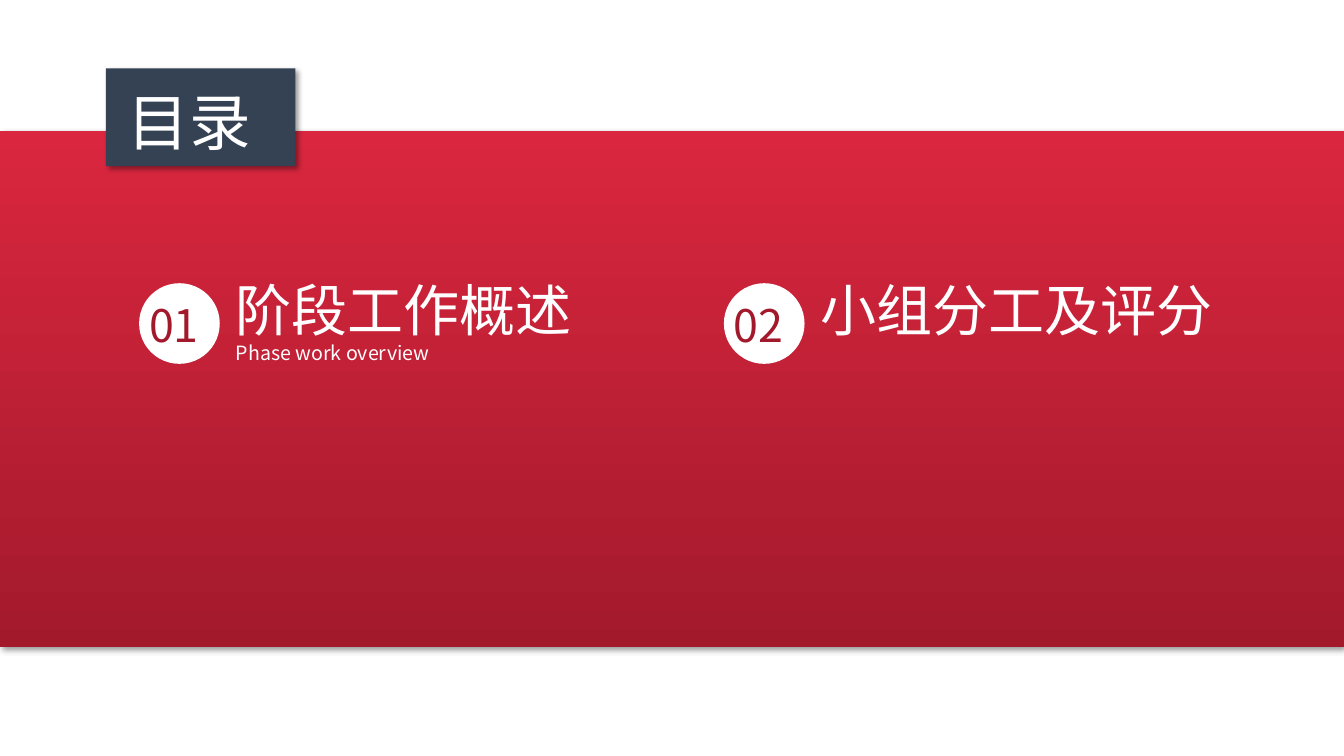
from lxml import etree
from pptx import Presentation
from pptx.dml.color import RGBColor
from pptx.enum.shapes import MSO_SHAPE
from pptx.enum.text import MSO_AUTO_SIZE, PP_ALIGN
from pptx.oxml.ns import qn
from pptx.util import Inches, Pt

RECTANGLE, OVAL = MSO_SHAPE.RECTANGLE, MSO_SHAPE.OVAL
JUSTIFY = PP_ALIGN.JUSTIFY
GROW = MSO_AUTO_SIZE.SHAPE_TO_FIT_TEXT

WHITE, NAVY = "FFFFFF", "354254"
RED, DARK_RED = "DA273F", "A3192C"


def rgb(value):
    return RGBColor.from_string(value)


class ContentsSlide:
    font_name = "Noto Sans CJK SC"
    shadow_format = {"blurRad": Pt(4), "dist": Pt(3), "dir": 45 * 60000,
                     "algn": "tl", "rotWithShape": 0}

    def __init__(self, prs):
        self.slide = prs.slides.add_slide(prs.slide_layouts[6])

    def panel(self, kind, box, colors, shadow=False):
        """Add a borderless shape; two colors make a top-down gradient."""
        panel = self.slide.shapes.add_shape(kind, *map(Inches, box))
        panel.shadow.inherit = False
        panel.line.fill.background()
        if len(colors) == 1:
            panel.fill.solid()
            panel.fill.fore_color.rgb = rgb(colors[0])
        else:
            panel.fill.gradient()
            panel.fill.gradient_angle = 270
            for stop, color in zip(panel.fill.gradient_stops, colors):
                stop.color.rgb = rgb(color)
        if shadow:
            self.drop_shadow(panel)

    def drop_shadow(self, panel):
        effects = panel._element.spPr.find(qn("a:effectLst"))
        outer = etree.SubElement(effects, qn("a:outerShdw"))
        for name, value in self.shadow_format.items():
            outer.set(name, str(value))
        black = etree.SubElement(outer, qn("a:srgbClr"), val="000000")
        etree.SubElement(black, qn("a:alpha"), val="40000")

    def label(self, text, box, size, color=WHITE):
        frame = self.slide.shapes.add_textbox(*map(Inches, box)).text_frame
        for name, value in {"word_wrap": True, "auto_size": GROW}.items():
            setattr(frame, name, value)
        paragraph = frame.paragraphs[0]
        paragraph.alignment = JUSTIFY
        run = paragraph.add_run()
        run.text = text
        for name, value in {"name": self.font_name, "size": Pt(size)}.items():
            setattr(run.font, name, value)
        run.font.color.rgb = rgb(color)
        # Chinese characters take the East Asian typeface
        etree.SubElement(run._r.get_or_add_rPr(), qn("a:ea"),
                         typeface=self.font_name)

    def chapter(self, left, number, title, title_width, subtitle=None):
        self.panel(OVAL, (left, 2.81, 0.8, 0.8), [WHITE])
        self.label(number, (left, 2.9, 0.79, 0.64), 32, DARK_RED)
        text_left = left + 0.86
        self.label(title, (text_left, 2.68, title_width, 0.77), 40)
        if subtitle:
            self.label(subtitle, (text_left, 3.33, title_width, 0.34), 14)


def main():
    prs = Presentation()
    prs.slide_width, prs.slide_height = Inches(13.33), Inches(7.5)
    contents = ContentsSlide(prs)

    # Red band and heading block
    contents.panel(RECTANGLE, (0, 1.3, 13.33, 5.12), [RED, DARK_RED], shadow=True)
    contents.panel(RECTANGLE, (1.05, 0.68, 1.88, 0.97), [NAVY], shadow=True)

    # Chapters
    contents.chapter(1.38, "01", "阶段工作概述", 3.73, "Phase work overview")
    contents.chapter(7.18, "02", "小组分工及评分", 4.16)

    # Heading
    contents.label("目录", (1.17, 0.78, 1.62, 0.84), 44)

    prs.save("out.pptx")


if __name__ == "__main__":
    main()
